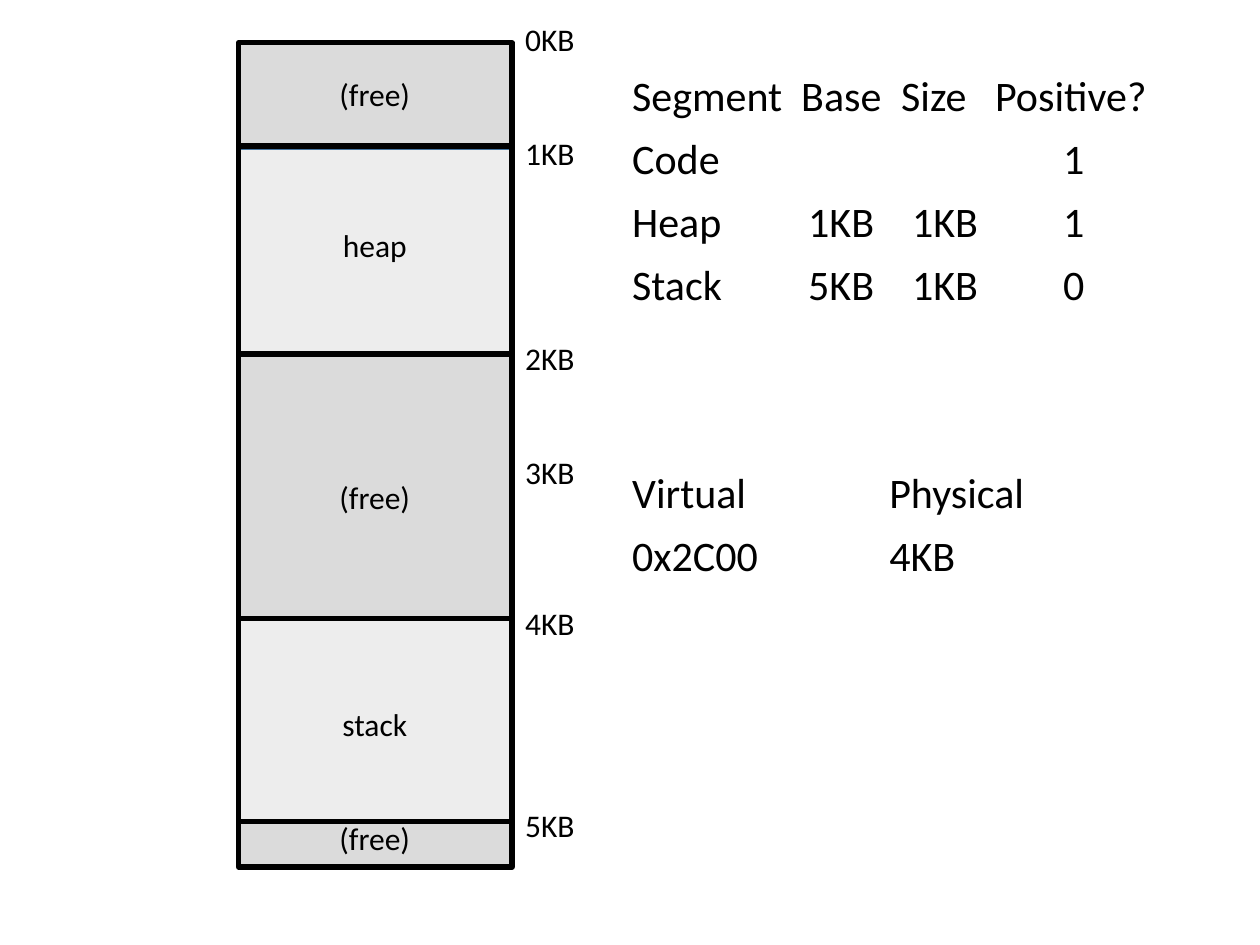
from lxml import etree
from pptx import Presentation
from pptx.dml.color import RGBColor
from pptx.enum import shapes, text
from pptx.oxml import ns
from pptx.util import Pt

FONT = "Calibri"
BLACK, EDGE, FREE, USED = "000000", "43739E", "DBDBDB", "EDEDED"

# Memory column: top, height, fill
COLUMN_LEFT, COLUMN_WIDTH = 136.3, 156.3
COLUMN_TOP, COLUMN_HEIGHT = 24.5, 471
REGIONS = [
    (24.5, 57.6, FREE),
    (85, 117.3, USED),
    (202.3, 151.5, FREE),
    (354.2, 115.2, USED),
    (469.4, 26.6, FREE),
]
DIVIDERS = [83.5, 202.3, 353.6, 469.4]

# Labels: text, gap above
REGION_LABELS = [("(free)", 0), ("heap", 64.7), ("(free)", 122.4),
                 ("stack", 108.1), ("(free)", 43)]
ADDRESSES = [("0KB", 0), ("1KB", 43.5), ("2KB", 95.5),
             ("3KB", 43.5), ("4KB", 64.7), ("5KB", 93.8)]

# Segment rows and the tab stops of their columns
HEADER_STOPS, ROW_STOPS = (96.6, 153.7, 207.4), (100.6, 160, 246.3)
SEGMENTS = [
    ("Segment", "Base", "Size", "Positive?"),
    ("Code", "", "", "1"),
    ("Heap", "1KB", "1KB", "1"),
    ("Stack", "5KB", "1KB", "0"),
]
TRANSLATION = [
    (354.2, 128.9, ["Virtual", "0x2C00"]),
    (501.1, 218.9, ["Physical", "4KB"]),
]


def color(value):
    """Turn a hex string into a colour."""
    return RGBColor.from_string(value)


def add_box(page, top, height, fill, line, weight):
    """Draw a rectangle across the memory column."""
    box = page.shapes.add_shape(shapes.MSO_SHAPE.RECTANGLE, Pt(COLUMN_LEFT),
                                Pt(top), Pt(COLUMN_WIDTH), Pt(height))
    box.shadow.inherit = False
    if fill:
        box.fill.solid()
        box.fill.fore_color.rgb = color(fill)
    else:
        box.fill.background()
    box.line.color.rgb = color(line)
    box.line.width = Pt(weight)


def add_divider(page, top):
    """Draw a horizontal line across the memory column."""
    line = page.shapes.add_connector(
        shapes.MSO_CONNECTOR.STRAIGHT, Pt(COLUMN_LEFT), Pt(top),
        Pt(COLUMN_LEFT + COLUMN_WIDTH), Pt(top))
    line.line.color.rgb = color(BLACK)
    line.line.width = Pt(3)
    etree.SubElement(line._element.spPr, ns.qn("a:effectLst"))


def add_tabs(para, stops):
    """Give a paragraph left tab stops."""
    tabs = etree.SubElement(para._p.get_or_add_pPr(), ns.qn("a:tabLst"))
    for stop in stops:
        etree.SubElement(tabs, ns.qn("a:tab"), pos=str(int(Pt(stop))), algn="l")


def add_text(page, lines, left, top, width, height, size=24, wrap=True,
             align=text.PP_ALIGN.LEFT, spacing=None):
    """Add a text box from (text, gap above, tab stops) lines."""
    box = page.shapes.add_textbox(Pt(left), Pt(top), Pt(width), Pt(height))
    frame = box.text_frame
    frame.word_wrap = wrap
    for index, (words, gap, stops) in enumerate(lines):
        para = frame.paragraphs[0] if index == 0 else frame.add_paragraph()
        para.alignment = align
        para.space_before = Pt(gap)
        if spacing:
            para.line_spacing = spacing
        if stops:
            add_tabs(para, stops)
        span = para.add_run()
        span.text = words
        span.font.name = FONT
        span.font.size = Pt(size)
        span.font.color.rgb = color(BLACK)


def main():
    """Build the slide."""
    deck = Presentation()
    deck.slide_width, deck.slide_height = Pt(720), Pt(540)
    page = deck.slides.add_slide(deck.slide_layouts[6])

    for top, height, fill in REGIONS:
        add_box(page, top, height, fill, EDGE, 1)
    add_box(page, COLUMN_TOP, COLUMN_HEIGHT, None, BLACK, 3)
    for top in DIVIDERS:
        add_divider(page, top)

    add_text(page, [(words, gap, ()) for words, gap in REGION_LABELS],
             186.5, 39.6, 55.4, 479.5, size=18, wrap=False,
             align=text.PP_ALIGN.CENTER)
    add_text(page, [(words, gap, ()) for words, gap in ADDRESSES],
             293, 7.9, 43.2, 482.4, size=18, wrap=False)

    for left, width, words in TRANSLATION:
        add_text(page, [(word, 10, ()) for word in words],
                 left, 266.4, width, 188.6, spacing=0.9)
    rows = [("\t".join(row), 10, ROW_STOPS if index else HEADER_STOPS)
            for index, row in enumerate(SEGMENTS)]
    add_text(page, rows, 354.2, 39.6, 313.9, 188.6, spacing=0.9)

    deck.save("out.pptx")


main()
